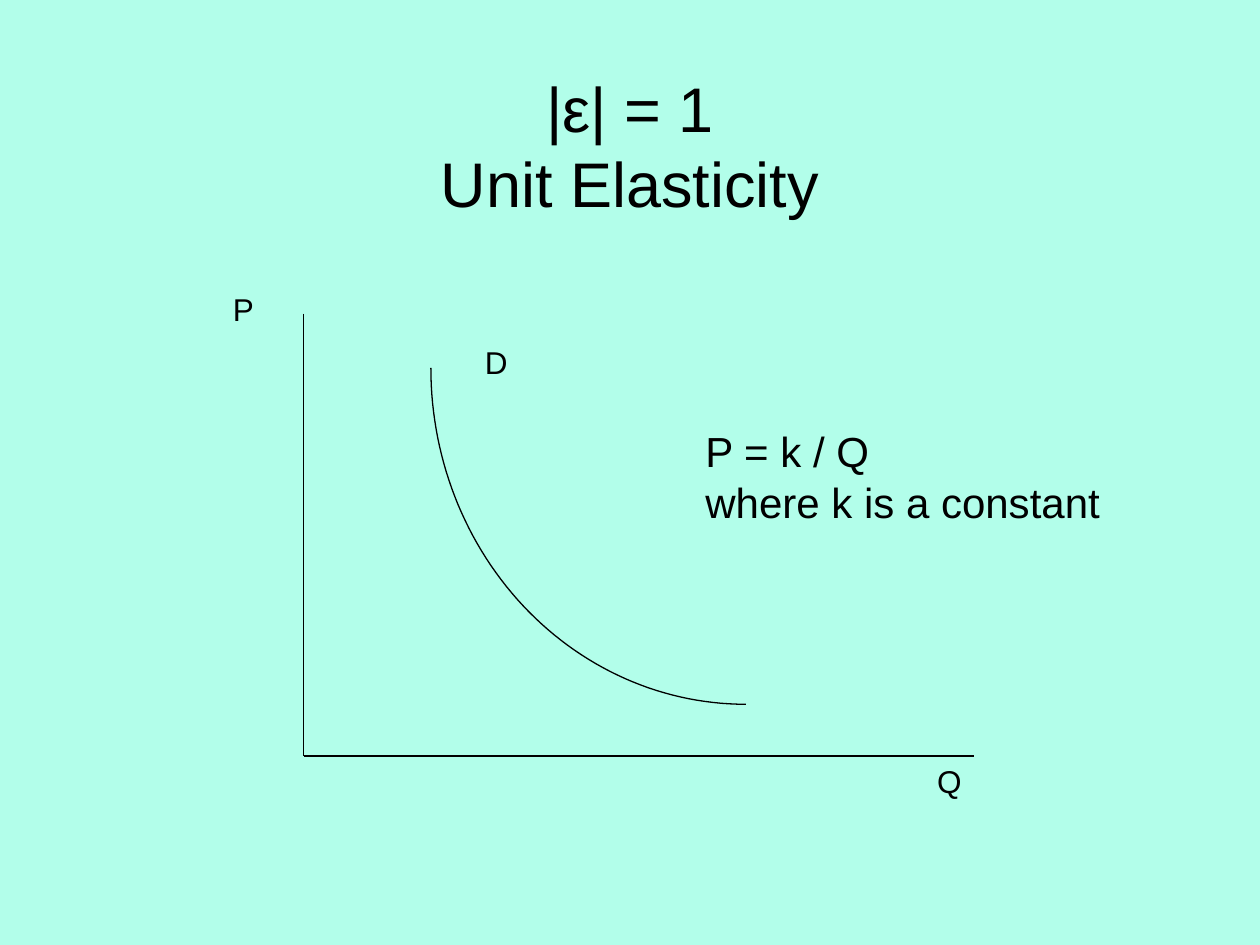
from math import cos, pi, sin

from lxml import etree
from pptx import Presentation
from pptx.dml.color import RGBColor
from pptx.enum.shapes import MSO_CONNECTOR
from pptx.enum.text import MSO_ANCHOR, PP_ALIGN
from pptx.oxml.ns import qn
from pptx.util import Inches, Pt

STRAIGHT = MSO_CONNECTOR.STRAIGHT
TOP, MIDDLE = MSO_ANCHOR.TOP, MSO_ANCHOR.MIDDLE
LEFT, CENTER = PP_ALIGN.LEFT, PP_ALIGN.CENTER

COLUMNS, ROWS = 100, 75
SLIDE_WIDTH, SLIDE_HEIGHT = Inches(10), Inches(7.5)
FONT = "Arial"
INK, MINT = "000000", "B2FEEA"
LINE_WIDTH = Pt(0.75)
ORIGIN = (24.1, 60)
PRICE_END = (24.1, 24.9)
QUANTITY_END = (77.3, 60)


def color(hex_code):
    return RGBColor.from_string(hex_code)


def across(columns):
    return round(SLIDE_WIDTH * columns / COLUMNS)


def down(rows):
    return round(SLIDE_HEIGHT * rows / ROWS)


def place(point):
    """Turn a (column, row) pair into slide lengths."""
    return across(point[0]), down(point[1])


def style_line(line):
    line.color.rgb = color(INK)
    line.width = LINE_WIDTH


def add_text(slide, position, size, lines, points, align=LEFT, anchor=TOP):
    """Add one paragraph whose lines are parted by line breaks."""
    box = slide.shapes.add_textbox(*place(position), *place(size))
    frame = box.text_frame
    frame.word_wrap = True
    frame.vertical_anchor = anchor
    paragraph = frame.paragraphs[0]
    paragraph.alignment = align
    for index, line in enumerate(lines):
        if index:
            paragraph.add_line_break()
        run = paragraph.add_run()
        run.text = line
        run.font.name = FONT
        run.font.size = Pt(points)
        run.font.color.rgb = color(INK)


def add_axis(slide, start, end):
    axis = slide.shapes.add_connector(STRAIGHT, *place(start), *place(end))
    style_line(axis.line)
    etree.SubElement(axis._element.spPr, qn("a:effectLst"))


def add_demand_curve(slide, center, radii, steps=60):
    """Draw the lower left quarter of an ellipse."""
    angles = [pi / 2 * (1 + step / steps) for step in range(steps + 1)]
    points = [
        place((center[0] + radii[0] * cos(angle), center[1] + radii[1] * sin(angle)))
        for angle in angles
    ]
    builder = slide.shapes.build_freeform(*points[0])
    builder.add_line_segments(points[1:], close=False)
    curve = builder.convert_to_shape()
    curve.shadow.inherit = False
    curve.fill.background()
    style_line(curve.line)


def main():
    presentation = Presentation()
    presentation.slide_width = SLIDE_WIDTH
    presentation.slide_height = SLIDE_HEIGHT
    slide = presentation.slides.add_slide(presentation.slide_layouts[6])
    slide.background.fill.solid()
    slide.background.fill.fore_color.rgb = color(MINT)

    add_text(slide, (5, 3), (90, 17), ["|ε| = 1", "Unit Elasticity"], 36, CENTER, MIDDLE)
    add_axis(slide, PRICE_END, ORIGIN)
    add_axis(slide, ORIGIN, QUANTITY_END)
    for label, position in (("P", (17.5, 22.5)), ("Q", (73.4, 60)), ("D", (37.5, 26.7))):
        add_text(slide, position, (6.6, 4), [label], 18)
    add_demand_curve(slide, center=(59.2, 29.2), radii=(25, 26.7))
    add_text(slide, (55, 33.3), (35, 9), ["P = k / Q", "where k is a constant"], 24)

    presentation.save("out.pptx")


if __name__ == "__main__":
    main()
